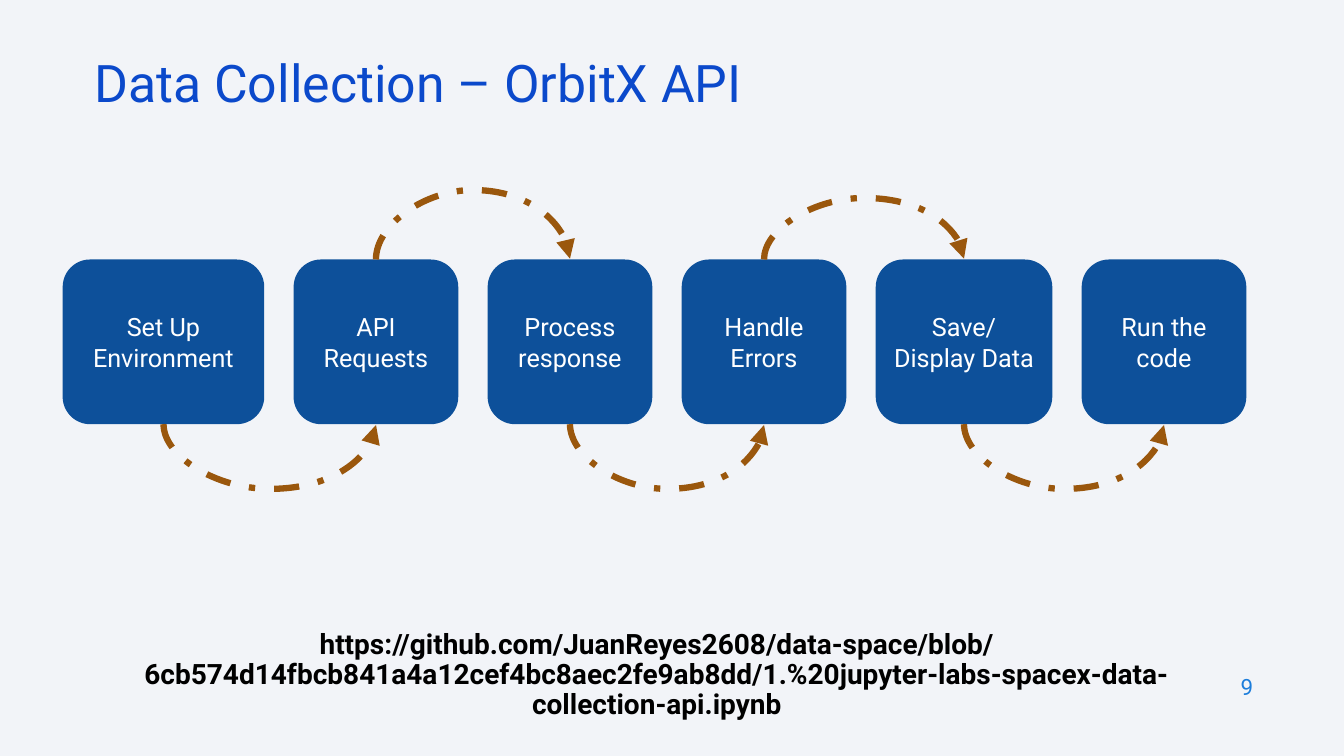
from lxml import etree
from pptx import Presentation
from pptx import util as u
from pptx.dml.color import RGBColor
from pptx.enum import dml, shapes, text
from pptx.oxml.ns import qn

# Content: each step is (paragraphs, width in cm)
TITLE = "Data Collection – OrbitX API"
LINK = ("https://github.com/JuanReyes2608/data-space/blob/"
        "6cb574d14fbcb841a4a12cef4bc8aec2fe9ab8dd/"
        "1.%20jupyter-labs-spacex-data-collection-api.ipynb")
PAGE_NUMBER = "9"
STEPS = [
    (["Set Up Environment"], 5.08),
    (["API", "Requests"], 4.15),
    (["Process response"], 4.15),
    (["Handle Errors"], 4.15),
    (["Save/Display Data"], 4.45),
    (["Run the code"], 4.15),
]
# Height of the arc from each step to the next; they alternate below and above
ARC_HEIGHTS = [1.63, 1.75, 1.63, 1.55, 1.63]

COLORS = {"background": "F2F4F8", "title": "0B49CB", "step": "0D509A",
          "step_text": "FFFFFF", "arc": "9A570D", "link": "000000",
          "number": "1C7DDB"}
FONT = "Roboto"
LEFT, TOP, STEP_HEIGHT, GAP = 1.58, 6.54, 4.15, 0.74
ARC_DRIFT = 0.02  # small offset between the two ends of an arc

ALIGN = text.PP_ALIGN
ANCHOR = text.MSO_ANCHOR


def color(name):
    return RGBColor.from_string(COLORS[name])


def write(shape, lines, size, tint, align, anchor, bold=False, spacing=None):
    frame = shape.text_frame
    frame.word_wrap = True
    frame.vertical_anchor = anchor
    for index, line in enumerate(lines):
        para = frame.add_paragraph() if index else frame.paragraphs[0]
        para.alignment = align
        if spacing:
            para.line_spacing = spacing
        span = para.add_run()
        span.text = line
        span.font.name = FONT
        span.font.size = u.Pt(size)
        span.font.bold = bold
        span.font.color.rgb = color(tint)


def add_text(page, place, *args, **options):
    box = page.shapes.add_textbox(*map(u.Cm, place))
    write(box, *args, **options)


def add_step(page, left, width, lines):
    box = page.shapes.add_shape(shapes.MSO_SHAPE.ROUNDED_RECTANGLE,
                                *map(u.Cm, (left, TOP, width, STEP_HEIGHT)))
    box.shadow.inherit = False
    box.fill.solid()
    box.fill.fore_color.rgb = color("step")
    box.line.fill.background()
    write(box, lines, 18, "step_text", ALIGN.CENTER, ANCHOR.MIDDLE)


def add_arc(page, start, end, height, above):
    # The curve is laid out upright, then turned a quarter to lie flat
    middle, half = (start + end) / 2, (end - start) / 2
    edge = TOP - ARC_DRIFT / 2 if above else TOP + STEP_HEIGHT + ARC_DRIFT / 2
    side = half if above else -half
    arc = page.shapes.add_connector(
        shapes.MSO_CONNECTOR.CURVE,
        u.Cm(middle + ARC_DRIFT / 2), u.Cm(edge + side),
        u.Cm(middle - ARC_DRIFT / 2), u.Cm(edge - side))
    arc.line.color.rgb = color("arc")
    arc.line.width = u.Pt(4.5)
    arc.line.dash_style = dml.MSO_LINE.DASH_DOT
    props = arc._element.spPr
    props.find(qn("a:xfrm")).set("rot", str((90 if above else 270) * 60000))
    guides = props.find(qn("a:prstGeom")).get_or_add_avLst()
    bend = round(height / ARC_DRIFT * 100000)
    etree.SubElement(guides, qn("a:gd"), name="adj1", fmla=f"val {bend}")
    etree.SubElement(props.find(qn("a:ln")), qn("a:tailEnd"), type="triangle")
    etree.SubElement(props, qn("a:effectLst"))


def main():
    deck = Presentation()
    deck.slide_width, deck.slide_height = u.Cm(33.87), u.Cm(19.05)
    page = deck.slides.add_slide(deck.slide_layouts[6])
    page.background.fill.solid()
    page.background.fill.fore_color.rgb = color("background")

    # Title, link and page number
    add_text(page, (2.13, 1.5, 29.21, 1.52), [TITLE], 37, "title",
             ALIGN.LEFT, ANCHOR.MIDDLE, spacing=0.7)
    add_text(page, (2.13, 15.75, 28.85, 2.54), [LINK], 20, "link",
             ALIGN.CENTER, ANCHOR.TOP, bold=True, spacing=0.9)
    add_text(page, (24.21, 16.74, 7.62, 1.12), [PAGE_NUMBER], 16, "number",
             ALIGN.RIGHT, ANCHOR.MIDDLE)

    # Row of steps
    centers = []
    left = LEFT
    for lines, width in STEPS:
        add_step(page, left, width, lines)
        centers.append(left + width / 2)
        left += width + GAP

    # Arcs between neighbouring steps
    for index, height in enumerate(ARC_HEIGHTS):
        add_arc(page, centers[index], centers[index + 1], height,
                above=index % 2 == 1)

    deck.save("out.pptx")


if __name__ == "__main__":
    main()
